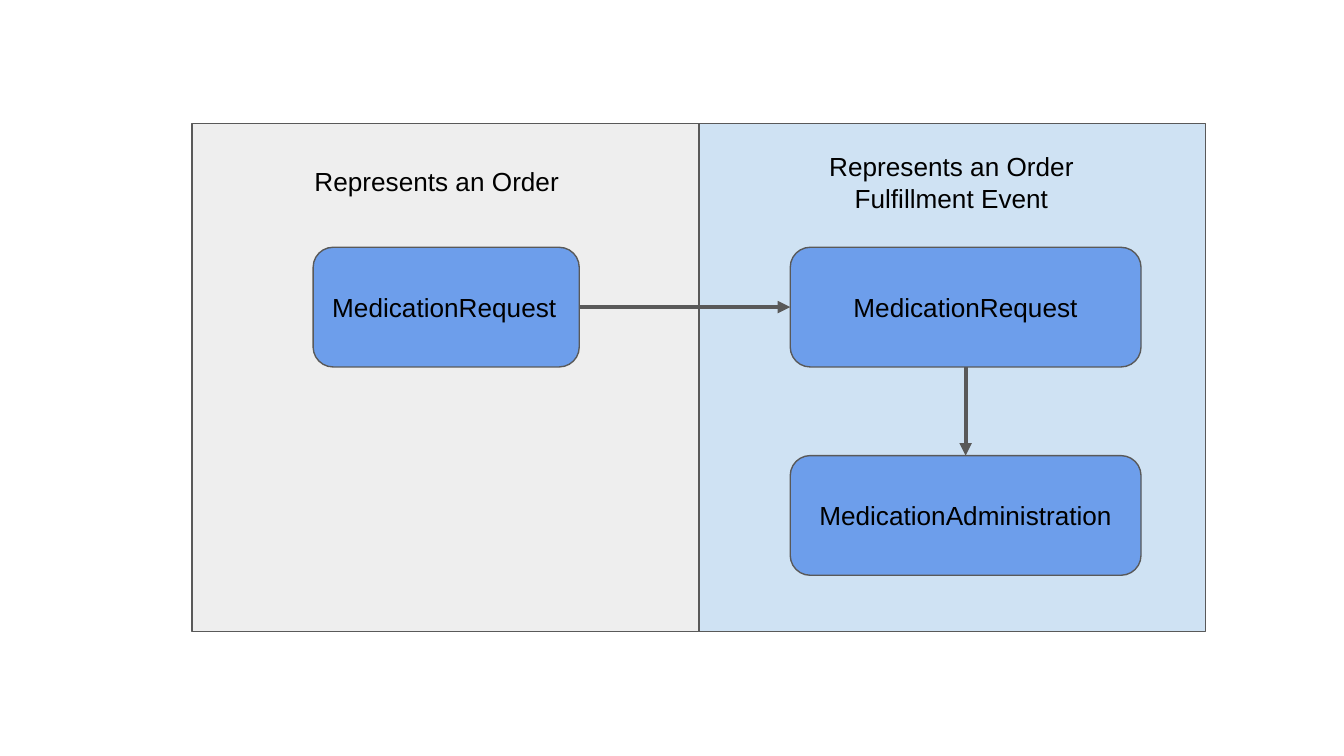
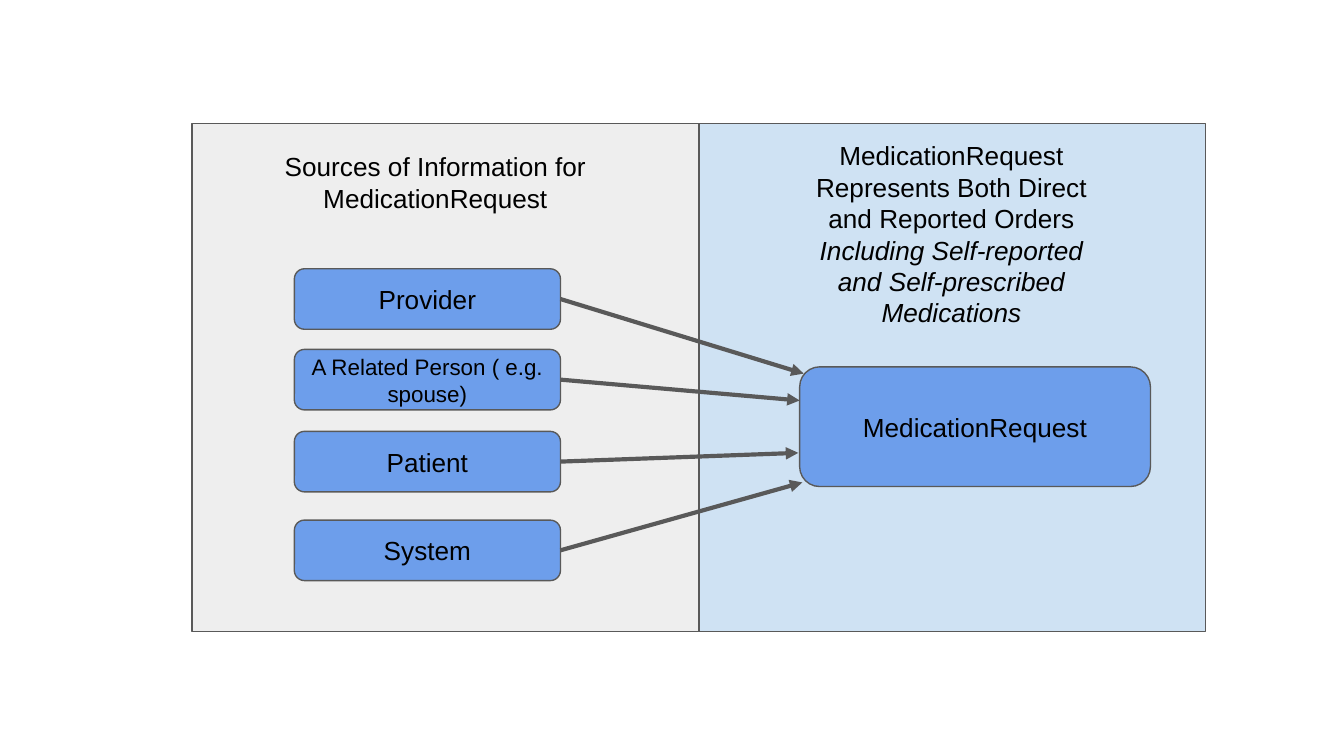
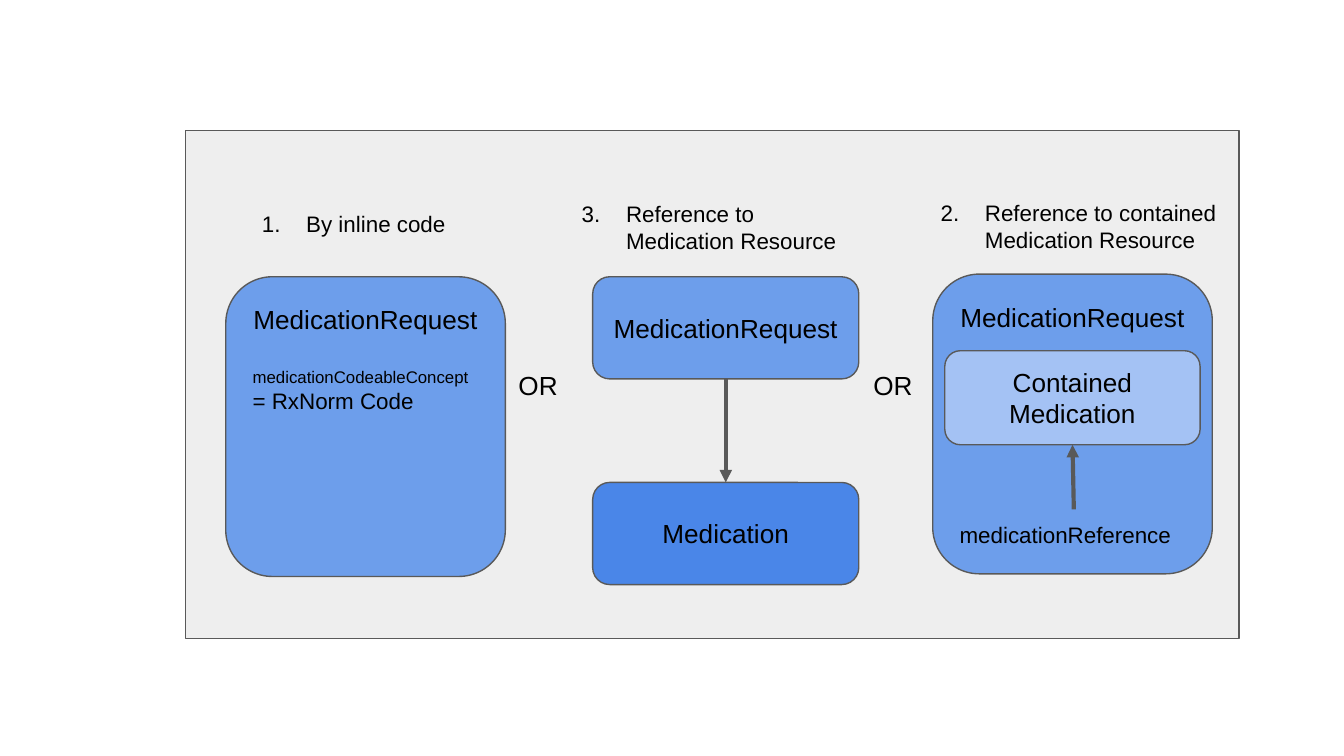
from lxml.etree import SubElement
from pptx import Presentation
from pptx.dml.color import RGBColor
from pptx.enum.shapes import MSO_CONNECTOR, MSO_SHAPE
from pptx.enum.text import MSO_ANCHOR, PP_ALIGN
from pptx.oxml.ns import qn
from pptx.util import Inches, Pt

# Shared style
FONT = "Arial"
TEXT, OUTLINE = "000000", "595959"
GREY, PALE_BLUE = "EEEEEE", "CFE2F3"
BLUE, LIGHT_BLUE, STRONG_BLUE = "6D9EEB", "A4C2F4", "4A86E8"
PANEL_SIZE = 3.77, 3.78
PANEL_LEFT, PANEL_TOP = 1.43, 0.92
LINE_HEIGHT = 16.8  # one line of 14 point text

# Connection sites of a rounded box
TOP, LEFT, BOTTOM, RIGHT = range(4)


def color(value):
    return RGBColor.from_string(value)


def write_paragraph(paragraph, runs, size=14, align=PP_ALIGN.CENTER):
    """Write runs given as (text, font settings) pairs, or as one string."""
    paragraph.alignment = align
    paragraph.font.name = FONT
    paragraph.font.size = Pt(size)
    paragraph.font.color.rgb = color(TEXT)
    for text, settings in [(runs, {})] if isinstance(runs, str) else runs:
        run = paragraph.add_run()
        run.text = text
        for name, value in settings.items():
            setattr(run.font, name, value)


def prepare_frame(shape, anchor):
    frame = shape.text_frame
    frame.word_wrap = True
    frame.vertical_anchor = anchor
    frame.margin_left = frame.margin_right = Inches(0.1)
    frame.margin_top = frame.margin_bottom = Inches(0.1)
    return frame


def add_block(slide, kind, box, fill):
    shape = slide.shapes.add_shape(kind, *map(Inches, box))
    shape.shadow.inherit = False
    shape.fill.solid()
    shape.fill.fore_color.rgb = color(fill)
    shape.line.color.rgb = color(OUTLINE)
    shape.line.width = Pt(0.75)
    return shape


def add_panels(slide):
    width, height = PANEL_SIZE
    for column, fill in enumerate((GREY, PALE_BLUE)):
        box = PANEL_LEFT + column * width, PANEL_TOP, width, height
        add_block(slide, MSO_SHAPE.RECTANGLE, box, fill)


def add_node(slide, box, text, fill=BLUE, size=14, align=PP_ALIGN.CENTER):
    shape = add_block(slide, MSO_SHAPE.ROUNDED_RECTANGLE, box, fill)
    frame = prepare_frame(shape, MSO_ANCHOR.MIDDLE)
    write_paragraph(frame.paragraphs[0], text, size, align)
    return shape


def add_card(slide, box, title, detail, gap_lines):
    """Rounded card with a title and, some lines further down, a detail."""
    shape = add_block(slide, MSO_SHAPE.ROUNDED_RECTANGLE, box, BLUE)
    frame = prepare_frame(shape, MSO_ANCHOR.TOP)
    write_paragraph(frame.paragraphs[0], title)
    paragraph = frame.add_paragraph()
    write_paragraph(paragraph, detail, 12, PP_ALIGN.LEFT)
    paragraph.space_before = Pt(gap_lines * LINE_HEIGHT)


def add_label(slide, box, runs, size=14, align=PP_ALIGN.CENTER,
              anchor=MSO_ANCHOR.MIDDLE):
    shape = slide.shapes.add_textbox(*map(Inches, box))
    paragraph = prepare_frame(shape, anchor).paragraphs[0]
    write_paragraph(paragraph, runs, size, align)
    return paragraph


def add_numbered_label(slide, box, number, text):
    paragraph = add_label(slide, box, text, 12, PP_ALIGN.LEFT)
    properties = paragraph._p.get_or_add_pPr()
    properties.set("marL", str(Inches(0.5)))
    properties.set("indent", str(Inches(-0.33)))
    bullet_color = SubElement(properties, qn("a:buClr"))
    SubElement(bullet_color, qn("a:srgbClr"), val=TEXT)
    numbering = SubElement(properties, qn("a:buAutoNum"),
                           type="arabicPeriod", startAt=str(number))
    # Bullet settings come before the default font
    properties.insert(0, bullet_color)
    properties.insert(1, numbering)


def add_arrow(slide, start, end, source=None, target=None):
    """Arrow between two points; source and target are (shape, site) pairs."""
    connector = slide.shapes.add_connector(
        MSO_CONNECTOR.STRAIGHT, *map(Inches, start + end))
    if source:
        connector.begin_connect(*source)
    if target:
        connector.end_connect(*target)
    connector.line.color.rgb = color(OUTLINE)
    connector.line.width = Pt(2.25)
    SubElement(connector.line._get_or_add_ln(), qn("a:tailEnd"), type="triangle")
    SubElement(connector._element.spPr, qn("a:effectLst"))


def build_order_slide(slide):
    add_panels(slide)
    order = add_node(slide, (2.33, 1.84, 1.98, 0.89), "MedicationRequest",
                     align=PP_ALIGN.LEFT)
    administration, request = [
        add_node(slide, (5.88, top, 2.61, 0.89), text)
        for top, text in ((3.39, "MedicationAdministration"),
                          (1.84, "MedicationRequest"))]
    add_label(slide, (2, 1.13, 2.5, 0.45), "Represents an Order",
              anchor=MSO_ANCHOR.TOP)
    add_label(slide, (5.83, 1.13, 2.5, 0.45),
              "Represents an Order Fulfillment Event")
    add_arrow(slide, (4.31, 2.29), (5.88, 2.29), (order, RIGHT), (request, LEFT))
    add_arrow(slide, (7.19, 2.73), (7.19, 3.39),
              (request, BOTTOM), (administration, TOP))


def build_sources_slide(slide):
    add_panels(slide)
    add_node(slide, (5.95, 2.73, 2.61, 0.89), "MedicationRequest")
    add_label(slide, (1.99, 1.13, 2.5, 0.45),
              "Sources of Information for MedicationRequest")
    add_label(slide, (5.83, 1.13, 2.5, 1.22), [
        ("MedicationRequest Represents Both Direct and Reported Orders ", {}),
        ("Including Self-reported and Self-prescribed Medications",
         {"italic": True})])

    # Each source: top, text, text size, arrow end
    sources = [
        (2, "Provider", 14, (5.98, 2.78)),
        (2.6, "A Related Person ( e.g. spouse)", 12, (5.95, 2.98)),
        (3.21, "Patient", 14, (5.94, 3.37)),
        (3.87, "System", 14, (5.97, 3.59)),
    ]
    for top, text, size, end in sources:
        source = add_node(slide, (2.19, top, 1.98, 0.45), text, size=size)
        add_arrow(slide, (4.17, top + 0.22), end, (source, RIGHT))


def build_options_slide(slide):
    add_block(slide, MSO_SHAPE.RECTANGLE, (1.38, 0.97, 7.84, 3.78), GREY)

    # Numbered headings and the words between the options
    for number, box, text in (
            (1, (1.68, 1.34, 2.08, 0.64), "By inline code"),
            (3, (4.06, 1.37, 2.49, 0.64), "Reference to Medication Resource"),
            (2, (6.73, 1.36, 2.49, 0.64),
             "Reference to contained Medication Resource")):
        add_numbered_label(slide, box, number, text)
    for left in (3.76, 6.4):
        add_label(slide, (left, 2.75, 0.5, 0.23), "OR", align=PP_ALIGN.LEFT)

    # Inline code
    add_card(slide, (1.68, 2.06, 2.08, 2.23), "MedicationRequest",
             [("medicationCodeableConcept ", {"size": Pt(9)}),
              ("= RxNorm Code", {})], gap_lines=1)

    # Reference to a resource
    request, medication = [
        add_node(slide, (4.41, top, 1.98, 0.76), text, fill)
        for top, text, fill in ((2.06, "MedicationRequest", BLUE),
                                (3.59, "Medication", STRONG_BLUE))]
    add_arrow(slide, (5.4, 2.82), (5.4, 3.59),
              (request, BOTTOM), (medication, TOP))

    # Reference to a contained resource
    add_card(slide, (6.94, 2.04, 2.08, 2.23), "MedicationRequest",
             "medicationReference", gap_lines=6)
    contained = add_node(slide, (7.03, 2.61, 1.9, 0.7),
                         "Contained Medication", LIGHT_BLUE)
    add_arrow(slide, (7.99, 3.79), (7.98, 3.31), target=(contained, BOTTOM))


def main():
    presentation = Presentation()
    presentation.slide_width = Inches(10)
    presentation.slide_height = Inches(10 * 9 / 16)
    blank = presentation.slide_layouts[6]
    for build in (build_order_slide, build_sources_slide, build_options_slide):
        build(presentation.slides.add_slide(blank))
    presentation.save("out.pptx")


main()
